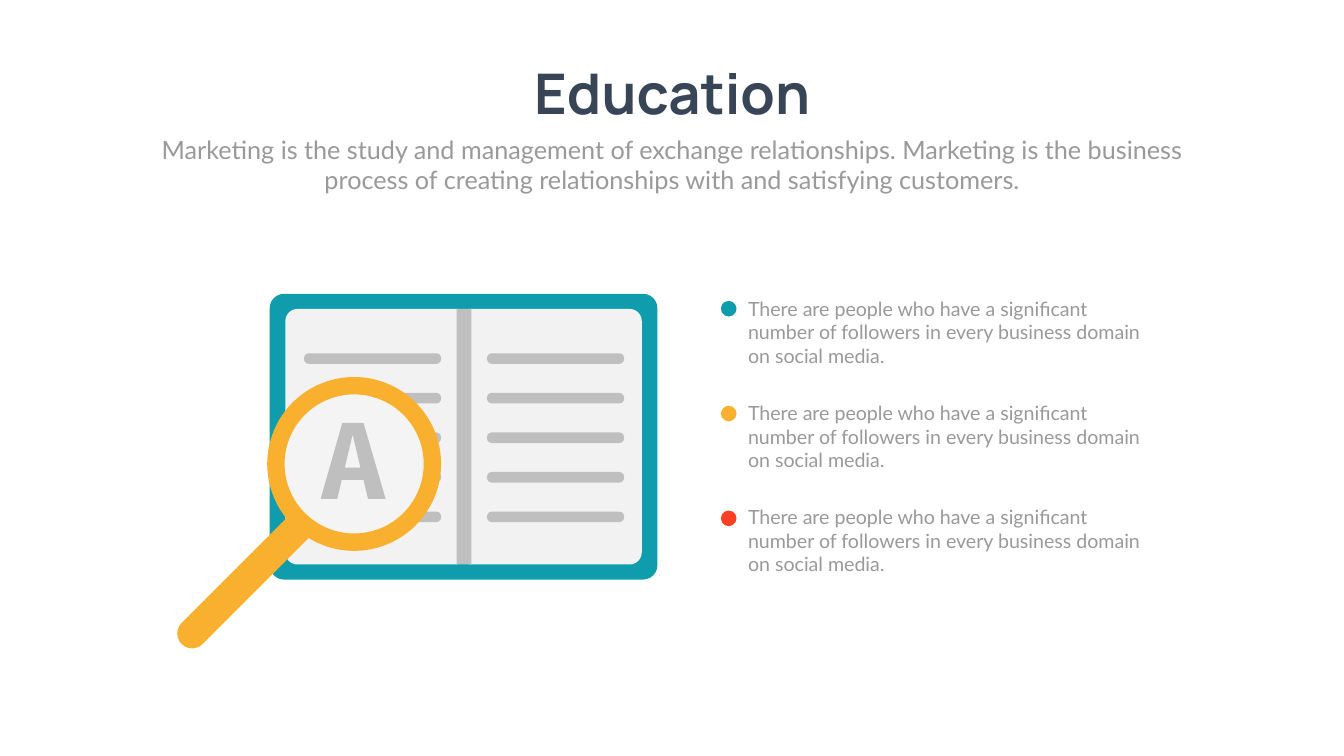
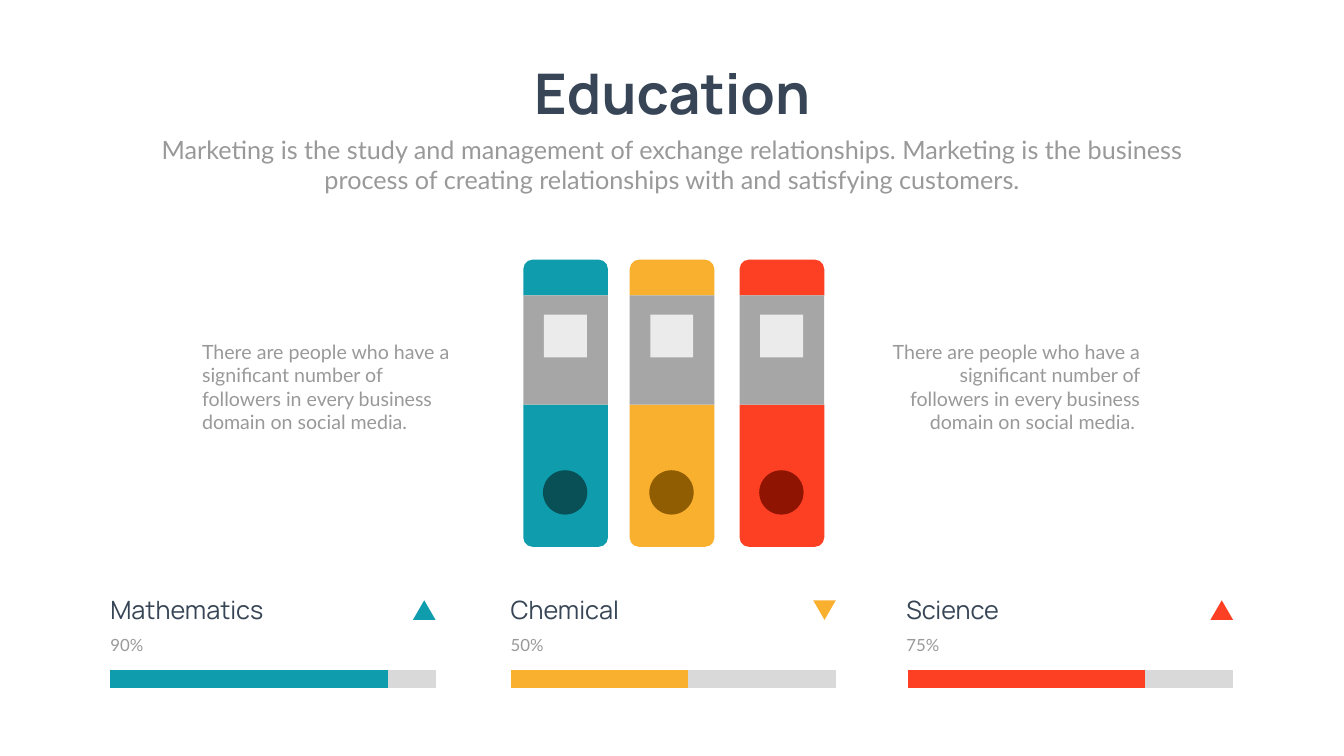
"""Build two education slides: an open book under a lens, and three binders with meters."""
from pptx import Presentation
from pptx import util as u
from pptx.dml import color
from pptx.enum import shapes, text
from pptx.oxml import ns
from lxml import etree

PX = 9144
COLORS = {
    "background": "FEFFFE", "heading": "374556", "body": "999999",
    "teal": "0F9DAD", "amber": "FAB02F", "red": "FD4024",
    "dark teal": "084F56", "dark amber": "915D03", "dark red": "8F1401",
    "page": "F2F2F2", "lens": "F4F4F4", "ink": "BFBFBF",
    "band": "A6A6A6", "tag": "EBEBEB", "track": "D9D9D9",
}
ACCENTS = ("teal", "amber", "red")
SHAPE = shapes.MSO_SHAPE
ALIGN = text.PP_ALIGN
SUBTITLE = ("Marketing is the study and management of exchange relationships. "
            "Marketing is the business process of creating relationships with "
            "and satisfying customers.")
STATEMENT = ("There are people who have a significant number of followers "
             "in every business domain on social media.")


def px(length):
    return u.Emu(round(length * PX))


def rgb(name):
    return color.RGBColor.from_string(COLORS[name])


def paint(shape, fill):
    shape.shadow.inherit = False
    shape.fill.solid()
    shape.fill.fore_color.rgb = rgb(fill)
    shape.line.fill.background()


def add_block(slide, kind, left, top, width, height, fill, adjustments=(), rotation=0):
    shape = slide.shapes.add_shape(kind, px(left), px(top), px(width), px(height))
    paint(shape, fill)
    for index, value in enumerate(adjustments):
        shape.adjustments[index] = value
    shape.rotation = rotation
    return shape


def write(shape, words, size, font="Lato", fill="body", align=ALIGN.LEFT, bold=False):
    frame = shape.text_frame
    frame.word_wrap = True
    frame.auto_size = text.MSO_AUTO_SIZE.SHAPE_TO_FIT_TEXT
    frame.vertical_anchor = text.MSO_ANCHOR.TOP
    frame.text = words
    paragraph = frame.paragraphs[0]
    paragraph.alignment = align
    paragraph.font.name = font
    paragraph.font.size = u.Pt(size)
    paragraph.font.bold = bold
    paragraph.font.color.rgb = rgb(fill)
    return paragraph


def add_text(slide, words, left, top, width, height, size, **style):
    box = slide.shapes.add_textbox(px(left), px(top), px(width), px(height))
    return write(box, words, size, **style)


def add_bar(slide, left, top, length, fill):
    bar = slide.shapes.add_connector(
        shapes.MSO_CONNECTOR.STRAIGHT, px(left), px(top), px(left + length), px(top))
    bar.line.color.rgb = rgb(fill)
    bar.line.width = u.Pt(25)
    etree.SubElement(bar._element.spPr, ns.qn("a:effectLst"))


def add_slide(presentation):
    slide = presentation.slides.add_slide(presentation.slide_layouts[5])
    slide.background.fill.solid()
    slide.background.fill.fore_color.rgb = rgb("background")
    title = slide.shapes.title
    title.left, title.top, title.width, title.height = map(px, (1032, 112, 603, 145))
    write(title, "Education", 80, font="Manrope", fill="heading",
          align=ALIGN.CENTER, bold=True)
    title.text_frame.word_wrap = False
    add_text(slide, SUBTITLE, 292, 261, 2082, 131, 36, align=ALIGN.CENTER)
    return slide


def add_book(slide):
    add_block(slide, SHAPE.ROUNDED_RECTANGLE, 535, 583, 769, 567, "teal", [0.05])
    width, height = 343, 507
    for left, rotation in ((566, 270), (930, 90)):
        shift = (height - width) / 2
        add_block(slide, SHAPE.ROUND_2_SAME_RECTANGLE, left - shift, 613 + shift,
                  height, width, "page", [0.07, 0], rotation)
    for left in (966, 603):
        for row in range(5):
            add_block(slide, SHAPE.ROUNDED_RECTANGLE, left, 701 + row * 78.5,
                      272, 21, "ink", [0.45])


def add_letter(slide):
    outline = [(678, 952), (669, 990), (636, 990), (679, 839),
               (721, 839), (765, 990), (730, 990), (721, 952)]
    counter = [(715, 928), (700, 864), (699, 864), (684, 928)]
    builder = slide.shapes.build_freeform(*outline[0], scale=PX)
    builder.add_line_segments(outline[1:], close=True)
    builder.move_to(*counter[0])
    builder.add_line_segments(counter[1:], close=True)
    paint(builder.convert_to_shape(), "ink")


def add_magnifier(slide):
    add_block(slide, SHAPE.OVAL, 547, 758, 311, 311, "lens")
    add_block(slide, SHAPE.ROUNDED_RECTANGLE, 308, 1122, 357, 59, "amber", [0.5], 315)
    add_block(slide, SHAPE.DONUT, 530, 748, 345, 345, "amber", [0.1])
    add_letter(slide)


def add_binder(slide, left, accent):
    width, corner = 168, 0.11
    add_block(slide, SHAPE.ROUND_2_SAME_RECTANGLE, left, 803, width, 282, accent, [0, corner])
    add_block(slide, SHAPE.ROUND_2_SAME_RECTANGLE, left, 515, width, 71, accent, [0.27, 0])
    add_block(slide, SHAPE.RECTANGLE, left, 586, width, 217, "band")
    add_block(slide, SHAPE.RECTANGLE, left + 41, 624, 85, 85, "tag")
    add_block(slide, SHAPE.OVAL, left + 39, 933, 88, 88, "dark " + accent)


def add_meter(slide, subject, percent, left, text_left, filled, accent, rotation):
    add_bar(slide, left, 1347, 645, "track")
    add_bar(slide, left, 1347, filled, accent)
    add_block(slide, SHAPE.ISOSCELES_TRIANGLE, left + 600, 1191, 45, 39, accent,
              rotation=rotation)
    paragraph = add_text(slide, percent, text_left, 1238, 255, 60, 24)
    paragraph.line_spacing = u.Pt(40.8)
    add_text(slide, subject, text_left, 1175, 453, 71, 36, font="Manrope", fill="heading")


def build_book_slide(presentation):
    slide = add_slide(presentation)
    add_book(slide)
    add_magnifier(slide)
    add_block(slide, SHAPE.RECTANGLE, 906, 613, 29, 507, "ink")
    for row, accent in enumerate(ACCENTS):
        add_text(slide, STATEMENT, 1474, 584 + row * 206.5, 815, 151, 28)
        add_block(slide, SHAPE.OVAL, 1430, 597 + row * 208, 31, 31, accent)


def build_binder_slide(presentation):
    slide = add_slide(presentation)
    for left, accent in zip((1038, 1249, 1467), ACCENTS):
        add_binder(slide, left, accent)
    meters = (("Mathematics", "90%", 219, 209, 551, "teal", 0),
              ("Chemical", "50%", 1013, 1003, 351, "amber", 180),
              ("Science", "75%", 1801, 1788, 471, "red", 0))
    for meter in meters:
        add_meter(slide, *meter)
    add_text(slide, STATEMENT, 391, 669, 532, 199, 28)
    add_text(slide, STATEMENT + " ", 1739, 669, 532, 199, 28, align=ALIGN.RIGHT)


def main():
    presentation = Presentation()
    presentation.slide_width, presentation.slide_height = px(2666), px(1500)
    build_book_slide(presentation)
    build_binder_slide(presentation)
    presentation.save("out.pptx")


if __name__ == "__main__":
    main()
